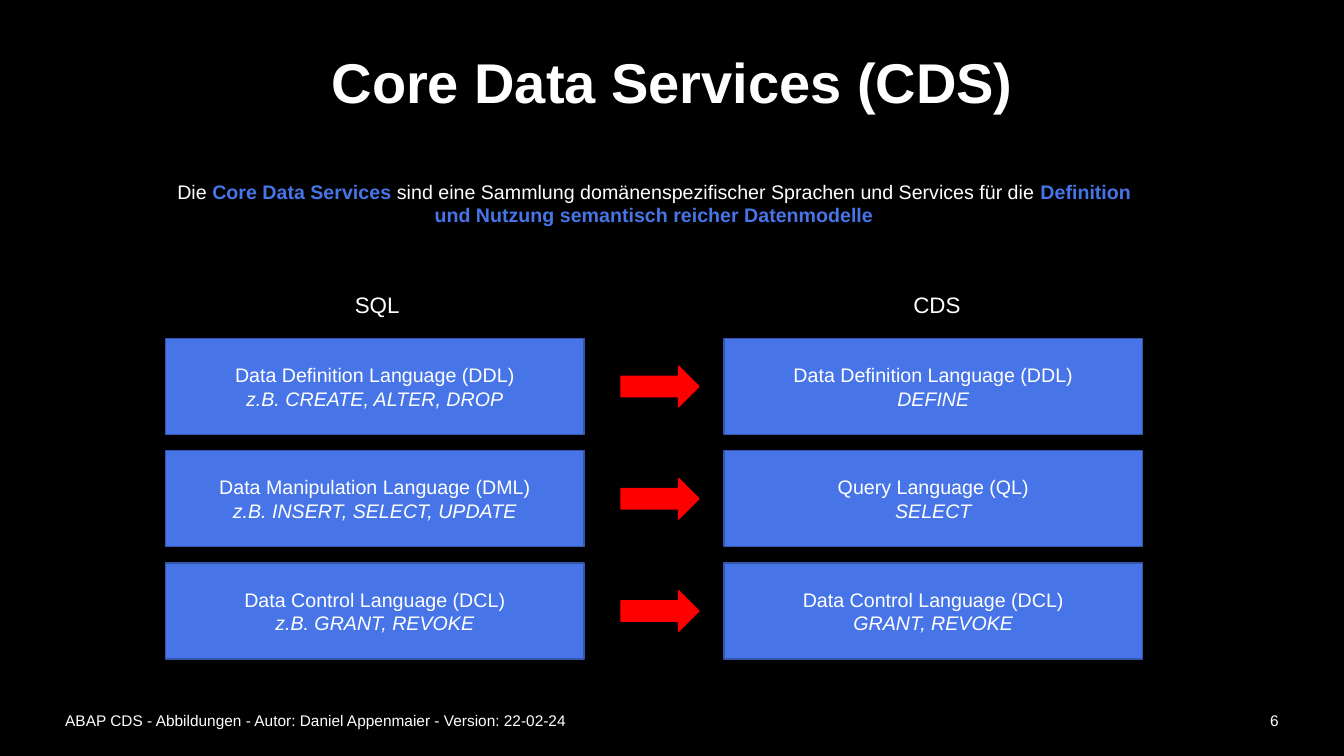
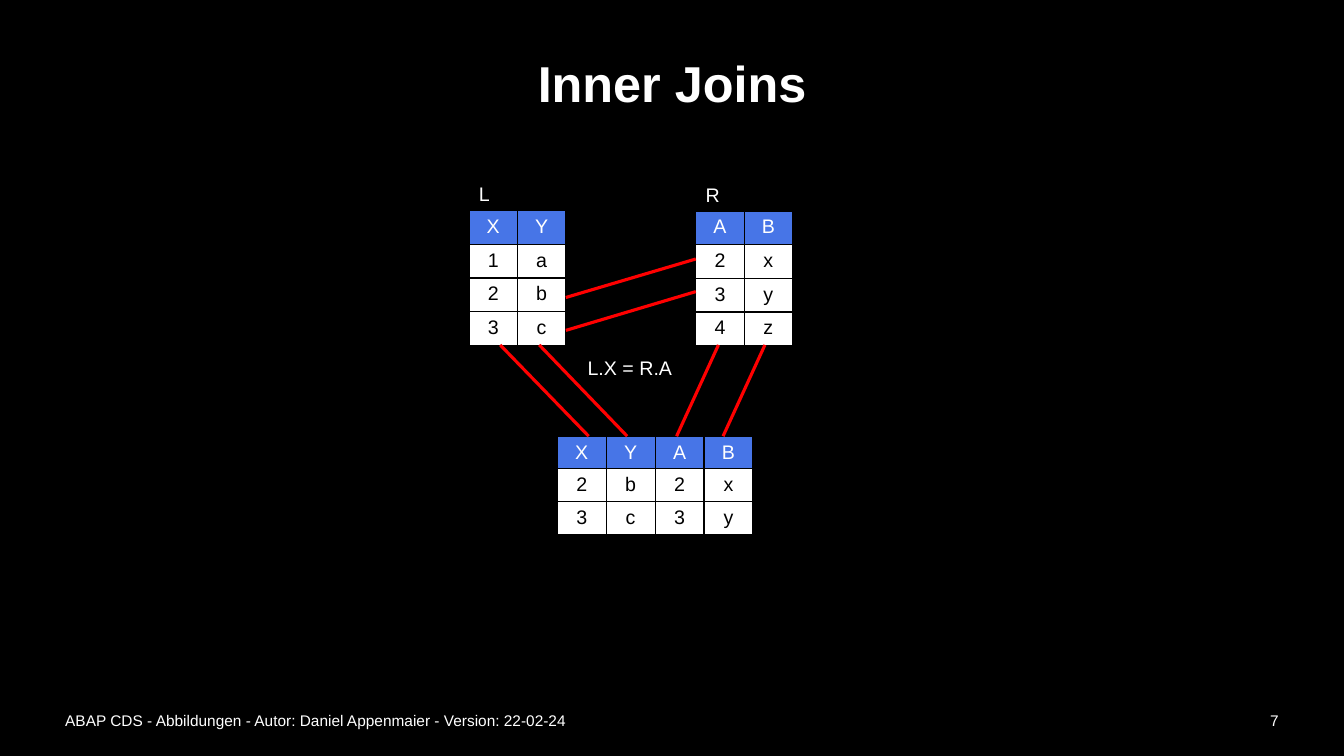
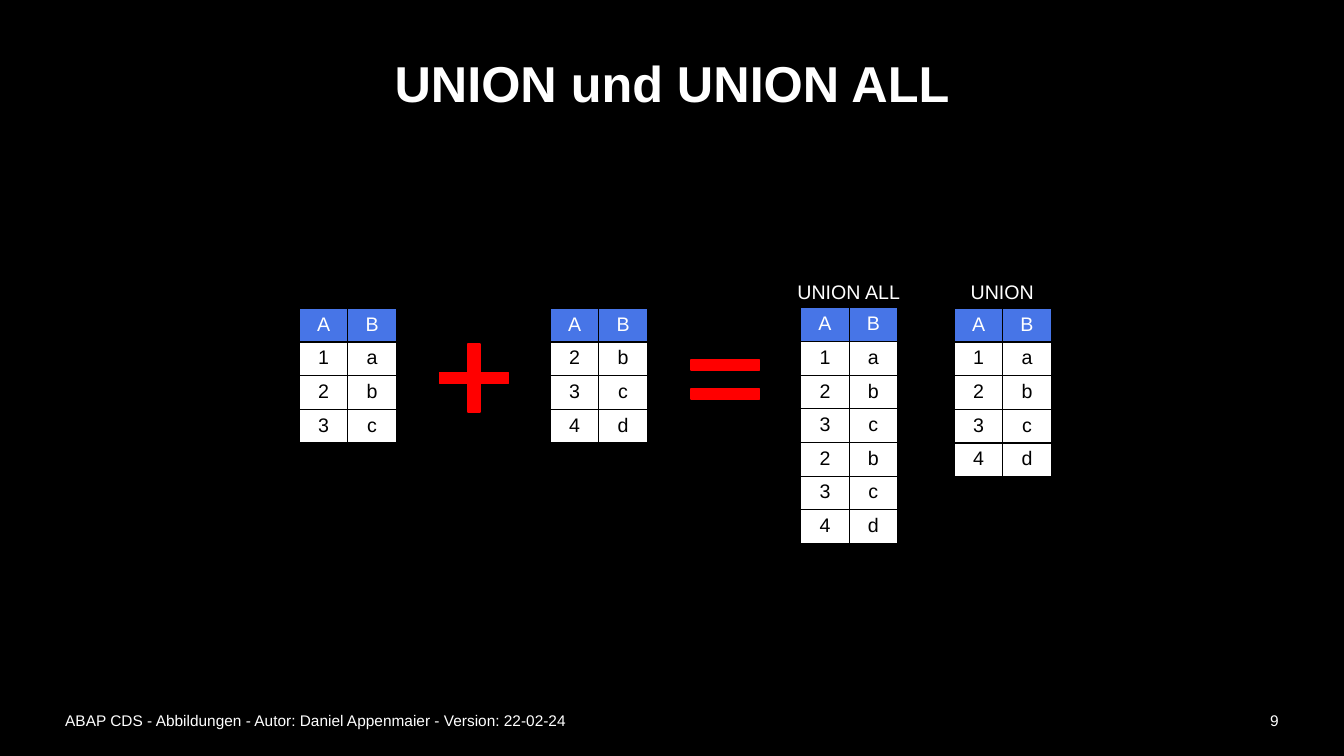
"""Build three slides on Core Data Services, inner joins and unions."""
from lxml import etree
from pptx import Presentation
from pptx.dml.color import RGBColor
from pptx.enum.shapes import MSO_CONNECTOR, MSO_SHAPE
from pptx.enum.text import MSO_ANCHOR, MSO_AUTO_SIZE, PP_ALIGN
from pptx.oxml.ns import qn
from pptx.util import Pt

LEFT, MID, RIGHT = PP_ALIGN.LEFT, PP_ALIGN.CENTER, PP_ALIGN.RIGHT
TOP, MIDDLE = MSO_ANCHOR.TOP, MSO_ANCHOR.MIDDLE
NO_FIT = MSO_AUTO_SIZE.NONE
RECT, ARROW, PLUS = MSO_SHAPE.RECTANGLE, MSO_SHAPE.RIGHT_ARROW, MSO_SHAPE.CROSS
LINE = MSO_CONNECTOR.STRAIGHT

FONT = "Arial"
HUES = {"black": "000000", "white": "FFFFFF", "blue": "4775E7",
        "edge": "3557AB", "red": "FF0000"}
FOOT = "ABAP CDS - Abbildungen - Autor: Daniel Appenmaier - Version: 22-02-24"

INTRO = [
    ("Die ", False),
    ("Core Data Services ", True),
    ("sind eine Sammlung domänenspezifischer Sprachen und Services für die ", False),
    ("Definition und Nutzung semantisch reicher Datenmodelle", True),
]
STACKS = [
    ("SQL", 118.3, [
        "Data Definition Language (DDL)\nz.B. CREATE, ALTER, DROP",
        "Data Manipulation Language (DML)\nz.B. INSERT, SELECT, UPDATE",
        "Data Control Language (DCL)\nz.B. GRANT, REVOKE"]),
    ("CDS", 517.2, [
        "Data Definition Language (DDL)\nDEFINE",
        "Query Language (QL)\nSELECT",
        "Data Control Language (DCL)\nGRANT, REVOKE"]),
]
BOX_TOP, BOX_STEP, BOX_W, BOX_H = 241.8, 80.2, 299, 68.5
ARROW_H = 29

CELL_W, CELL_H = 34.6, 23.95
JOIN_GRIDS = [
    (335, 150.5, ["XY", "1a", "2b", "3c"]),
    (497, 150.7, ["AB", "2x", "3y", "4z"]),
]
JOINED = ["XYAB", "2b2x", "3c3y"]
JOINED_X, JOINED_Y, JOINED_W, JOINED_STEP = 398.1, 311.8, 34.95, 23.1
JOIN_TAGS = [("L", 335, 126.4, 22.5), ("R", 497, 127, 24.5),
             ("L.X = R.A", 412.6, 250.5, 75.5)]
JOIN_LINES = [
    (404.2, 212.5, 497, 185), (404.2, 236, 497, 208.3),
    (357.3, 246.4, 420.5, 311.6), (385.2, 246.4, 448, 311.6),
    (513.2, 246.4, 483.3, 311.6), (546.4, 246.4, 516.5, 311.6),
]

UNION_GRIDS = [
    (213.9, 220.3, ["AB", "1a", "2b", "3c"]),
    (393.2, 220.3, ["AB", "2b", "3c", "4d"]),
    (572, 219.9, ["AB", "1a", "2b", "3c", "2b", "3c", "4d"]),
    (681.7, 220.3, ["AB", "1a", "2b", "3c", "4d"]),
]
UNION_TAGS = [("UNION ALL", 562.5, 196.5, 88.5), ("UNION", 686.2, 196.5, 60)]


def hue(name):
    return RGBColor.from_string(HUES[name])


def style(font, size, color="white", bold=False):
    font.name, font.size, font.bold = FONT, Pt(size), bold
    font.color.rgb = hue(color)


def write(frame, text, size, align=LEFT, color="white", bold=False):
    frame.text = text
    for para in frame.paragraphs:
        para.alignment = align
        style(para.font, size, color, bold)


def add_text(slide, text, x, y, w, h, size=14, align=LEFT, anchor=TOP, wrap=False):
    frame = slide.shapes.add_textbox(Pt(x), Pt(y), Pt(w), Pt(h)).text_frame
    frame.word_wrap, frame.vertical_anchor = wrap, anchor
    write(frame, text, size, align)
    return frame


def add_form(slide, kind, x, y, w, h, fill="red", edge="red"):
    form = slide.shapes.add_shape(kind, Pt(x), Pt(y), Pt(w), Pt(h))
    form.shadow.inherit = False
    form.fill.solid()
    form.fill.fore_color.rgb = hue(fill)
    form.line.color.rgb = hue(edge)
    form.line.width = Pt(1)
    return form


def add_line(slide, *ends):
    line = slide.shapes.add_connector(LINE, *map(Pt, ends))
    line.line.color.rgb = hue("red")
    line.line.width = Pt(2.25)
    etree.SubElement(line.element.spPr, qn("a:effectLst"))


def add_edges(cell):
    props = cell._tc.get_or_add_tcPr()
    for side in "LRTB":
        edge = etree.SubElement(props, qn("a:ln" + side), w=str(Pt(1)))
        fill = etree.SubElement(edge, qn("a:solidFill"))
        etree.SubElement(fill, qn("a:srgbClr"), val=HUES["black"])


def add_grid(slide, x, y, rows, wide=CELL_W, head=True):
    count = len(rows[0])
    table = slide.shapes.add_table(
        len(rows), count, Pt(x), Pt(y), Pt(wide * count), Pt(CELL_H * len(rows))).table
    table.first_row = table.horz_banding = False
    for col in table.columns:
        col.width = Pt(wide)
    for r, row in enumerate(rows):
        table.rows[r].height = Pt(CELL_H)
        fill, ink = ("blue", "white") if head and r == 0 else ("white", "black")
        for c, text in enumerate(row):
            cell = table.cell(r, c)
            add_edges(cell)
            cell.fill.solid()
            cell.fill.fore_color.rgb = hue(fill)
            write(cell.text_frame, text, 14, MID, ink)


def start_deck():
    deck = Presentation()
    deck.slide_width, deck.slide_height = Pt(960), Pt(540)
    back = deck.slide_master.background.fill
    back.solid()
    back.fore_color.rgb = hue("black")
    title = deck.slide_layouts[5].placeholders[0]
    title.left, title.top, title.width, title.height = map(Pt, (39.4, 18, 881.5, 86.5))
    return deck


def add_slide(deck, title, size, number):
    slide = deck.slides.add_slide(deck.slide_layouts[5])
    frame = slide.shapes.title.text_frame
    frame.vertical_anchor, frame.auto_size = MIDDLE, NO_FIT
    write(frame, title, size, MID, bold=True)
    frame.paragraphs[0].line_spacing = 0.9
    add_text(slide, FOOT, 39.5, 500, 823.5, 29, 11, LEFT, MIDDLE, True)
    add_text(slide, str(number), 863, 500, 57.5, 29, 11, RIGHT, MIDDLE, True)
    return slide


def draw_cds(deck):
    slide = add_slide(deck, "Core Data Services (CDS)", 40, 6)
    para = add_text(slide, "", 118.3, 124.8, 698, 41, align=MID, wrap=True).paragraphs[0]
    for text, strong in INTRO:
        run = para.add_run()
        run.text = text
        style(run.font, 14, "blue" if strong else "white", strong)
    for head, x, boxes in STACKS:
        add_text(slide, head, x + 128.1, 204.5, 48, 26.5, 16)
        for i, text in enumerate(boxes):
            box = add_form(slide, RECT, x, BOX_TOP + i * BOX_STEP, BOX_W, BOX_H,
                           "blue", "edge")
            box.text_frame.vertical_anchor = MIDDLE
            write(box.text_frame, text, 14, MID)
            box.text_frame.paragraphs[1].font.italic = True
    for i in range(len(boxes)):
        y = BOX_TOP + i * BOX_STEP + (BOX_H - ARROW_H) / 2
        add_form(slide, ARROW, 443.7, y, 55.5, ARROW_H)


def draw_join(deck):
    slide = add_slide(deck, "Inner Joins", 36, 7)
    for grid in JOIN_GRIDS:
        add_grid(slide, *grid)
    for i, row in enumerate(JOINED):
        add_grid(slide, JOINED_X, JOINED_Y + i * JOINED_STEP, [row], JOINED_W, i == 0)
    for tag in JOIN_TAGS:
        add_text(slide, *tag, 24)
    for ends in JOIN_LINES:
        add_line(slide, *ends)


def draw_union(deck):
    slide = add_slide(deck, "UNION und UNION ALL", 36, 9)
    for grid in UNION_GRIDS:
        add_grid(slide, *grid)
    for tag in UNION_TAGS:
        add_text(slide, *tag, 24)
    add_form(slide, PLUS, 314, 245.8, 49, 48.5).adjustments[0] = 0.417
    for y in (257.1, 277.8):
        add_form(slide, RECT, 493.7, y, 49, 7.3)


def main():
    deck = start_deck()
    for draw in (draw_cds, draw_join, draw_union):
        draw(deck)
    deck.save("out.pptx")


if __name__ == "__main__":
    main()
